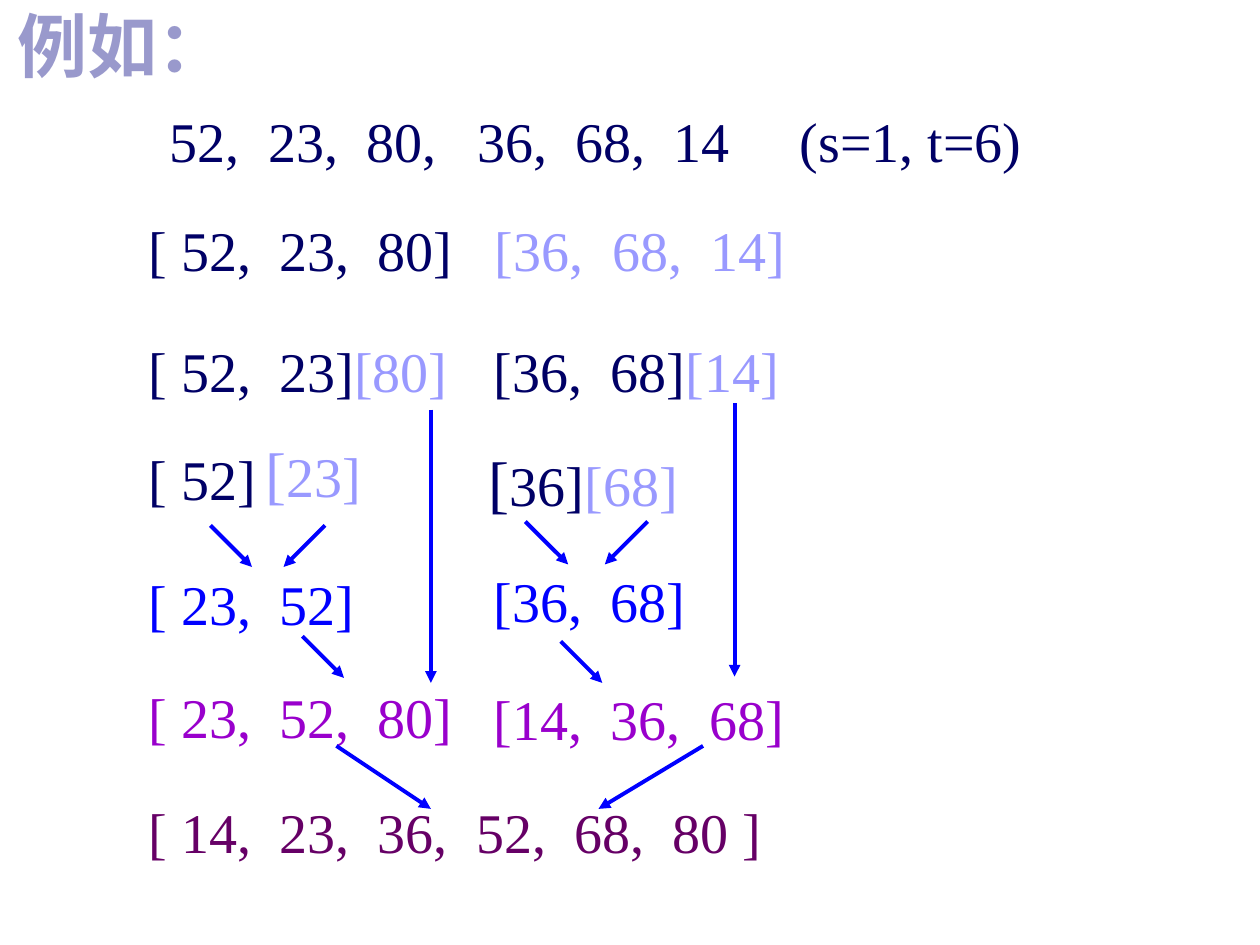
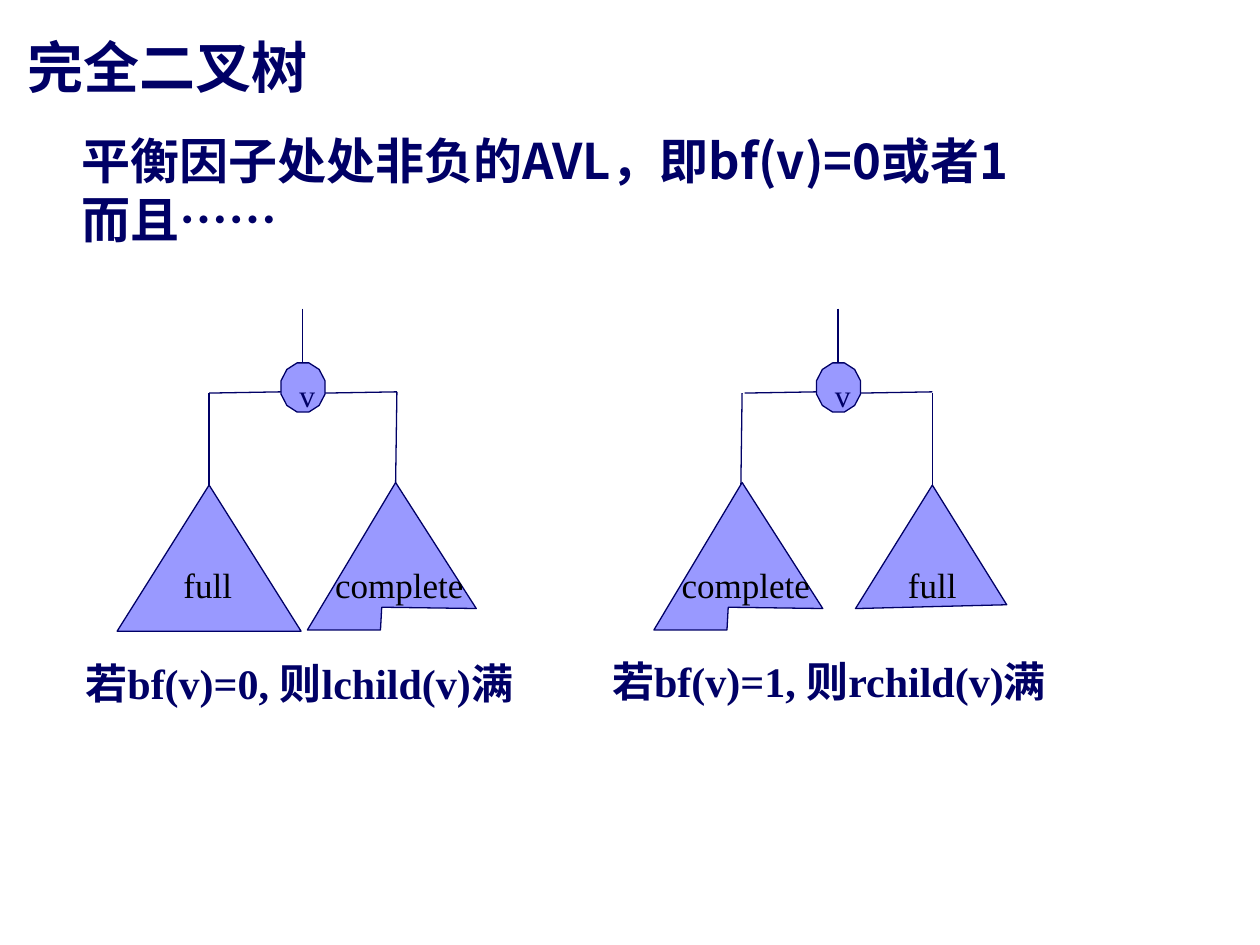
"""Build two slides: a merge sort trace and the two cases of a complete binary tree."""
from lxml import etree
from pptx import Presentation
from pptx import util as u
from pptx.dml.color import RGBColor
from pptx.enum import shapes, text
from pptx.oxml import ns

NAVY, LILAC, BLUE, VIOLET, PLUM = "000066", "9999FF", "0000FF", "9900CC", "660066"
SERIF, SANS = "Times New Roman", "Noto Sans CJK SC"
rgb = RGBColor.from_string


def add_text(s, x, y, w, h, paras, size, color=NAVY, font=SERIF, bold=False, align=None, tabs=()):
    """Add a text box; each paragraph is a list of (text, colour, size) runs."""
    tf = s.shapes.add_textbox(*map(u.Inches, (x, y, w, h))).text_frame
    tf.word_wrap = True
    tf.auto_size = text.MSO_AUTO_SIZE.SHAPE_TO_FIT_TEXT
    for i, runs in enumerate(paras):
        p = tf.paragraphs[0] if i == 0 else tf.add_paragraph()
        p.alignment = align
        if tabs:
            tab_list = etree.SubElement(p._p.get_or_add_pPr(), ns.qn("a:tabLst"))
            for pos in tabs:
                etree.SubElement(tab_list, ns.qn("a:tab"), pos=str(u.Inches(pos)), algn="l")
        p.font.name, p.font.size, p.font.bold = font, u.Pt(size), bold
        p.font.color.rgb = rgb(color)
        for words, run_color, run_size in runs:
            r = p.add_run()
            r.text = words
            if run_color:
                r.font.color.rgb = rgb(run_color)
            if run_size:
                r.font.size = u.Pt(run_size)


def add_line(s, x1, y1, x2, y2, color=NAVY, width=0.75, arrow=False):
    """Add a straight line, with an arrowhead at its end if asked."""
    c = s.shapes.add_connector(shapes.MSO_CONNECTOR.STRAIGHT, *map(u.Inches, (x1, y1, x2, y2)))
    c.line.color.rgb = rgb(color)
    c.line.width = u.Pt(width)
    if arrow:
        etree.SubElement(c.line._get_or_add_ln(), ns.qn("a:tailEnd"), type="triangle")
    etree.SubElement(c._element.spPr, ns.qn("a:effectLst"))


prs = Presentation()
prs.slide_width, prs.slide_height = u.Inches(10), u.Inches(7.5)
blank = prs.slide_layouts[6]

s = prs.slides.add_slide(blank)
add_text(s, 0.04, -0.03, 2, 0.77, [[("例如：", None, None)]], 40, "9999CC", bold=True)

step = 0.78
left_tabs = [0.26 + step * k for k in range(1, 6)]
right_tabs = [0.15 + step * k for k in range(1, 3)]
split_tabs = left_tabs[:2] + [2.75] + [2.75 + t for t in right_tabs]
input_tabs = [step, 2 * step, 2.44, 2.44 + step, 2.44 + 2 * step, 5]
left, right = 1.08, 3.82
rows = [
    (1.25, 0.8, 7.3, input_tabs, [("52,\t23,\t80,\t36,\t68,\t14\t(s=1, t=6)", NAVY, None)]),
    (left, 1.66, 5.4, split_tabs, [("[ 52,\t23,\t80]\t", NAVY, None), ("[36,\t68,\t14]", LILAC, None)]),
    (left, 2.62, 2.65, left_tabs, [("[ 52,\t23]", NAVY, None), ("[80]", LILAC, None)]),
    (left, 3.48, 1.25, (), [("[ 52]", NAVY, None)]),
    (left, 4.47, 1.9, left_tabs, [("[ 23,\t52]", BLUE, None)]),
    (left, 5.37, 2.7, left_tabs, [("[ 23,\t52,\t80]", VIOLET, None)]),
    (right, 2.62, 2.55, right_tabs, [("[36,\t68]", NAVY, None), ("[14]", LILAC, None)]),
    (3.78, 3.47, 1.8, (), [("[", NAVY, 36), ("36]", NAVY, None), ("[68]", LILAC, None)]),
    (right, 4.45, 1.8, right_tabs, [("[36,\t68]", BLUE, None)]),
    (right, 5.38, 2.6, right_tabs, [("[14,\t36,\t68]", VIOLET, None)]),
    (left, 6.28, 5.2, left_tabs, [("[ 14,\t23,\t36,\t52,\t68,\t80 ]", PLUM, None)]),
    (2.01, 3.4, 1.05, (), [("[", LILAC, 36), ("23]", LILAC, None)]),
]
for x, y, w, tabs, runs in rows:
    add_text(s, x, y, w, 0.64, [runs], 32, tabs=tabs)

merges = [
    (1.67, 4.17, 2, 4.5), (2.58, 4.17, 2.25, 4.5), (2.4, 5.05, 2.73, 5.38),
    (3.42, 3.25, 3.42, 5.42), (4.17, 4.14, 4.51, 4.48), (5.14, 4.14, 4.8, 4.48),
    (4.45, 5.09, 4.78, 5.42), (5.83, 3.2, 5.83, 5.37),
    (2.67, 5.92, 3.42, 6.42), (5.58, 5.92, 4.75, 6.42),
]
for ends in merges:
    add_line(s, *ends, color=BLUE, width=2.25, arrow=True)

s = prs.slides.add_slide(blank)
add_text(s, 0.12, 0.21, 5.16, 0.64, [[("完全二叉树", None, None)]], 32, font=SANS, bold=True)
condition = ["平衡因子处处非负的AVL，即bf(v)=0或者1", "而且……"]
add_text(s, 0.55, 0.99, 8.39, 1.04, [[(c, None, None)] for c in condition], 28, font=SANS, bold=True)

subtrees = []
for cx in (2.4, 6.65):
    add_line(s, cx, 2.45, cx, 2.88)
    add_line(s, cx - 0.74, 3.12, cx - 0.17, 3.11)
    add_line(s, cx + 0.18, 3.12, cx + 0.75, 3.11)
    node = s.shapes.add_shape(shapes.MSO_SHAPE.DODECAGON, *map(u.Inches, (cx - 0.17, 2.88, 0.35, 0.39)))
    tf = node.text_frame
    tf.vertical_anchor = text.MSO_ANCHOR.TOP
    p = tf.paragraphs[0]
    p.text = "v"
    p.alignment = text.PP_ALIGN.CENTER
    p.font.name, p.font.size = SERIF, u.Pt(18)
    p.font.color.rgb = rgb(NAVY)
    subtrees.append(node)

for ends in [(1.66, 3.12, 1.66, 3.85), (3.15, 3.11, 3.14, 3.83),
             (5.89, 3.12, 5.88, 3.85), (7.4, 3.12, 7.4, 3.85)]:
    add_line(s, *ends)

subtrees.append(s.shapes.add_shape(
    shapes.MSO_SHAPE.ISOSCELES_TRIANGLE, *map(u.Inches, (0.93, 3.85, 1.46, 1.16))))
notched = [(0, 3.83), (-0.7, 5), (-0.12, 5), (-0.11, 4.82), (0.64, 4.83)]
slanted = [(0, 3.85), (-0.61, 4.83), (0.59, 4.8)]
for apex, outline in [(3.14, notched), (7.4, slanted), (5.89, notched)]:
    points = [(u.Inches(apex + dx), u.Inches(y)) for dx, y in outline]
    fb = s.shapes.build_freeform(*points[0])
    fb.add_line_segments(points[1:], close=True)
    subtrees.append(fb.convert_to_shape())

for sp in subtrees:
    sp.shadow.inherit = False
    sp.fill.solid()
    sp.fill.fore_color.rgb = rgb(LILAC)
    sp.line.color.rgb = rgb(NAVY)
    sp.line.width = u.Pt(0.75)

for label, x, w in [("full", 1.18, 0.94), ("complete", 2.52, 1.3),
                    ("full", 6.93, 0.94), ("complete", 5.27, 1.3)]:
    add_text(s, x, 4.42, w, 0.44, [[(label, None, None)]], 20, "000000", align=text.PP_ALIGN.CENTER)

for caption, x, y in [("若bf(v)=0, 则lchild(v)满", 0.58, 5.17), ("若bf(v)=1, 则rchild(v)满", 4.76, 5.15)]:
    add_text(s, x, y, 4.17, 0.5, [[(caption, None, None)]], 24, bold=True)

prs.save("out.pptx")
